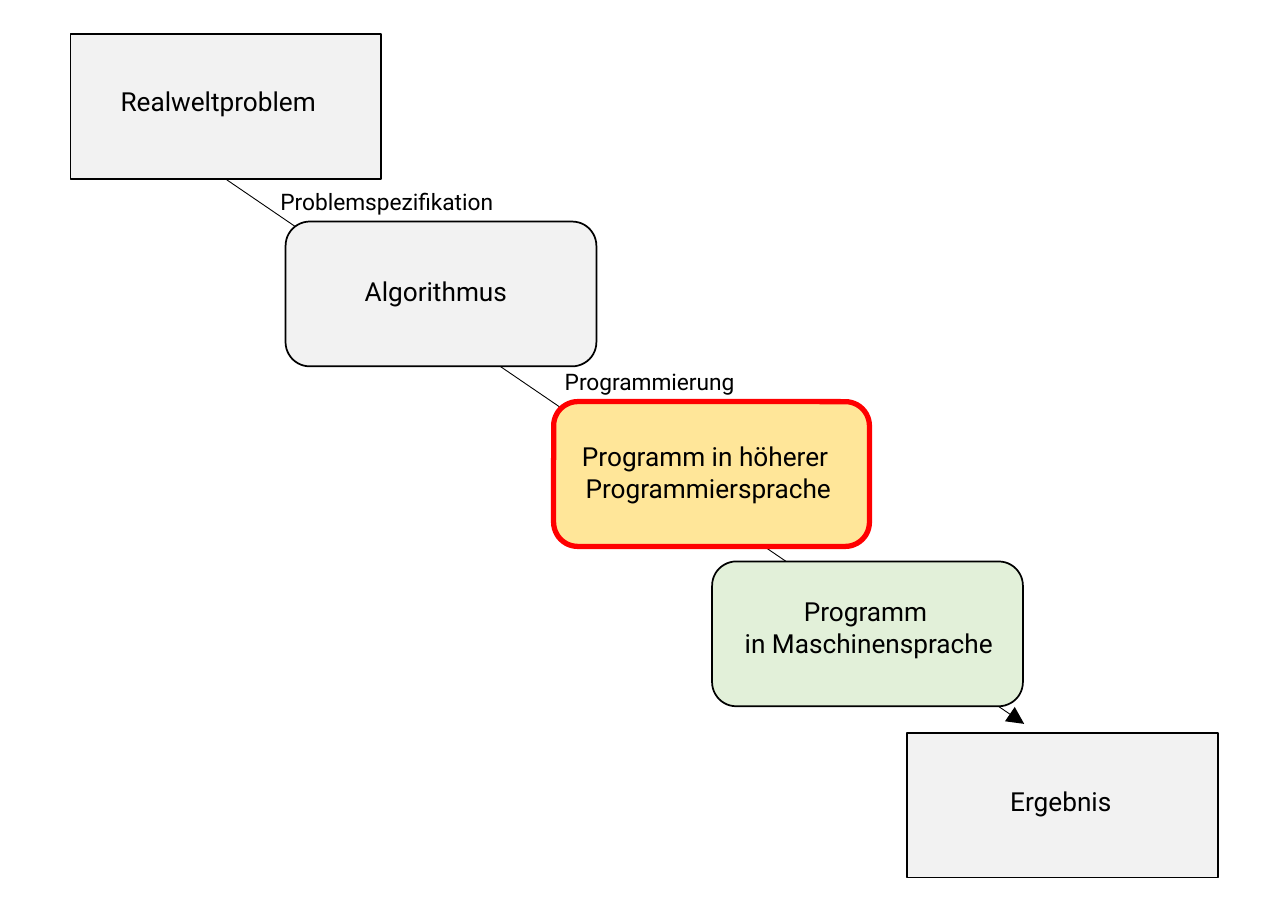
from dataclasses import dataclass

from lxml.etree import SubElement
from pptx import Presentation
from pptx.dml.color import RGBColor
from pptx.enum.shapes import MSO_CONNECTOR, MSO_SHAPE
from pptx.enum.text import MSO_AUTO_SIZE, PP_ALIGN
from pptx.oxml.ns import qn
from pptx.util import Inches, Pt


@dataclass(frozen=True)
class Theme:
    font: str = "Roboto"
    stage_size: int = 15
    step_size: int = 13
    ink: str = "000000"
    grey: str = "F2F2F2"
    yellow: str = "FFE699"
    green: str = "E2F0D9"
    red: str = "FF0000"


@dataclass(frozen=True)
class Box:
    left: float
    top: float
    width: float
    height: float

    def inner(self, left, top, width, height):
        return Box(self.left + left, self.top + top, width, height)

    def lengths(self):
        return [Inches(n) for n in (self.left, self.top, self.width, self.height)]


@dataclass(frozen=True)
class Stage:
    box: Box
    label: Box
    lines: tuple
    fill: str = Theme.grey
    border: str = Theme.ink
    weight: float = 1
    rounding: float = 0.167


CM_PER_INCH = 2.54
STAGE_HEIGHT = 1.15
STAGE_WIDTH = 2.47
ONE_LINE = 0.35
TWO_LINES = 0.6


def stage(left, top, label, lines, width=STAGE_WIDTH, **style):
    """Describe a stage; label is relative to the stage's corner."""
    box = Box(left, top, width, STAGE_HEIGHT)
    return Stage(box, box.inner(*label), lines, **style)


STAGES = (
    stage(0.56, 0.27, (0.3, 0.36, 1.86, ONE_LINE), ("Realweltproblem",), rounding=0),
    stage(2.27, 1.76, (0.53, 0.38, 1.41, ONE_LINE), ("Algorithmus",)),
    stage(4.4, 3.19, (0.04, 0.26, 2.38, TWO_LINES),
          ("Programm in höherer ", "Programmiersprache"),
          width=2.51, fill=Theme.yellow, border=Theme.red, weight=3),
    stage(5.66, 4.46, (0.11, 0.22, 2.27, TWO_LINES),
          ("Programm ", "in Maschinensprache"), fill=Theme.green),
    stage(7.21, 5.82, (0.72, 0.37, 1.05, ONE_LINE), ("Ergebnis",), rounding=0),
)
STEPS = (
    (Box(2.13, 1.44, 1.98, 0.32), "Problemspezifikation"),
    (Box(4.39, 2.87, 1.66, 0.32), "Programmierung"),
)


def color(value):
    return RGBColor.from_string(value)


def add_label(page, box, lines, size, theme):
    frame = page.shapes.add_textbox(*box.lengths()).text_frame
    frame.word_wrap = False
    frame.auto_size = MSO_AUTO_SIZE.SHAPE_TO_FIT_TEXT
    for index, line in enumerate(lines):
        para = frame.add_paragraph() if index else frame.paragraphs[0]
        para.alignment = PP_ALIGN.CENTER if len(lines) > 1 else PP_ALIGN.LEFT
        run = para.add_run()
        run.text = line
        run.font.name = theme.font
        run.font.size = Pt(size)
        run.font.color.rgb = color(theme.ink)


def add_stage(page, item, theme):
    shape = page.shapes.add_shape(MSO_SHAPE.ROUNDED_RECTANGLE, *item.box.lengths())
    shape.adjustments[0] = item.rounding
    shape.shadow.inherit = False
    shape.fill.solid()
    shape.fill.fore_color.rgb = color(item.fill)
    shape.line.color.rgb = color(item.border)
    shape.line.width = Pt(item.weight)
    add_label(page, item.label, item.lines, theme.stage_size, theme)


def add_flow_arrow(page, box, theme):
    """Draw the arrow from the box's top left to its bottom right corner."""
    left, top, width, height = box.lengths()
    arrow = page.shapes.add_connector(
        MSO_CONNECTOR.STRAIGHT, left, top, left + width, top + height)
    arrow.line.color.rgb = color(theme.ink)
    arrow.line.width = Pt(0.5)
    SubElement(arrow.line._get_or_add_ln(), qn("a:tailEnd"),
               type="triangle", w="lg", len="lg")
    SubElement(arrow._element.spPr, qn("a:effectLst"))


def build_process_slide(deck, theme):
    page = deck.slides.add_slide(deck.slide_layouts[6])
    add_flow_arrow(page, Box(1.79, 1.42, 6.35, 4.33), theme)
    for item in STAGES:
        add_stage(page, item, theme)
    for box, text in STEPS:
        add_label(page, box, (text,), theme.step_size, theme)


def main():
    deck = Presentation()
    deck.slide_width = Inches(26 / CM_PER_INCH)
    deck.slide_height = Inches(18.4 / CM_PER_INCH)
    build_process_slide(deck, Theme())
    deck.save("out.pptx")


if __name__ == "__main__":
    main()
